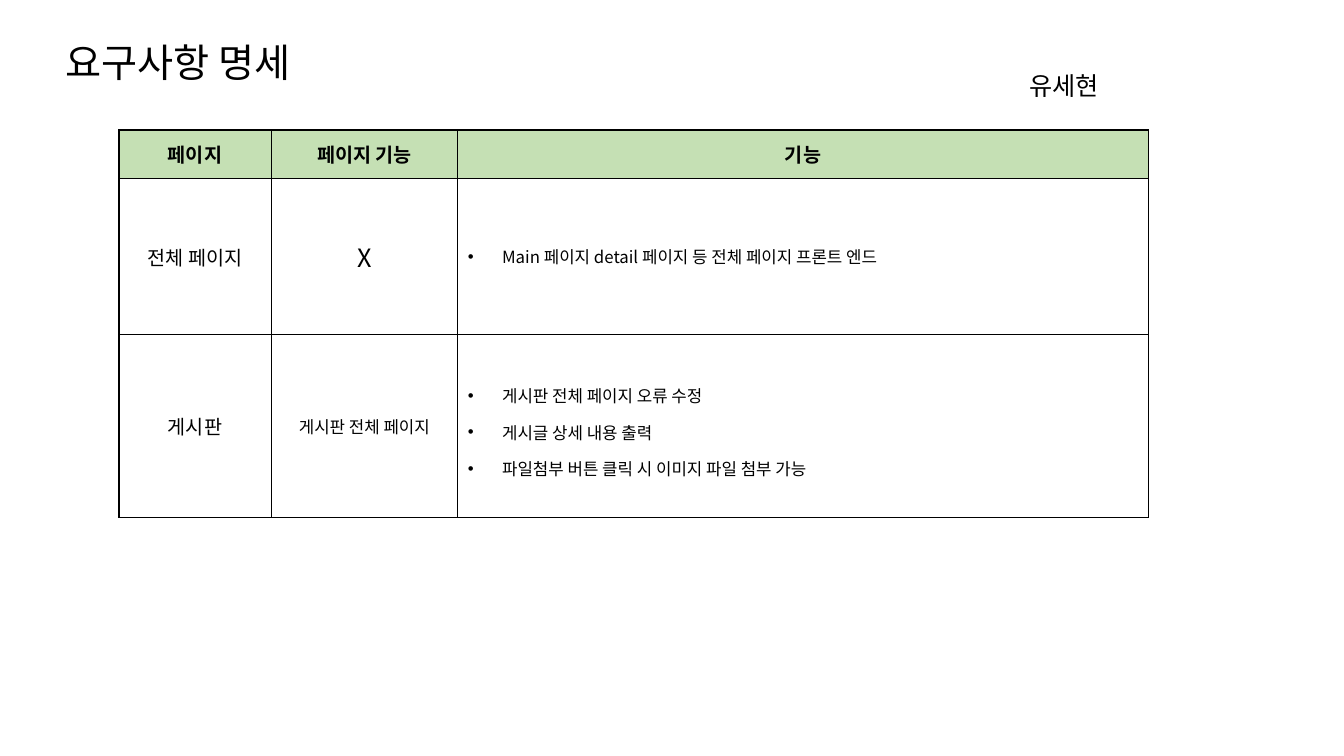
from dataclasses import dataclass
from lxml.etree import SubElement
from pptx import Presentation
from pptx.dml.color import RGBColor
from pptx.enum.text import MSO_ANCHOR as Anchor, PP_ALIGN as Align
from pptx.oxml import parse_xml
from pptx.oxml.ns import nsdecls, qn
from pptx.util import Inches, Pt


@dataclass(frozen=True)
class Theme:
    font: str = "Noto Sans CJK KR"
    ink: str = "000000"
    header: str = "C5E0B4"
    body: str = "FFFFFF"
    title: int = 28
    large: int = 18
    label: int = 14
    detail: int = 12
    border: int = 1
    indent: float = 0.34


T = Theme()
TITLE = ("요구사항 명세", (0.55, 0.12, 3.27, 1.05))
AUTHOR = ("유세현", (10.11, 0.65, 1.28, 0.4))
HEADERS = ["페이지", "페이지 기능", "기능"]
REQUIREMENTS = [
    (("전체 페이지", T.label), ("X", T.large),
     ["Main 페이지 detail 페이지 등 전체 페이지 프론트 엔드"]),
    (("게시판", T.label), ("게시판 전체 페이지", T.detail),
     ["게시판 전체 페이지 오류 수정", "게시글 상세 내용 출력",
      "파일첨부 버튼 클릭 시 이미지 파일 첨부 가능"]),
]
TABLE_ORIGIN = (1.18, 1.29)
COLUMNS = [1.51, 1.85, 6.85]
ROWS = [0.48, 1.55, 1.81]


def write(p, text, size, bold=False):
    p.text = text
    for r in p.runs:
        r.font.name, r.font.size, r.font.bold = T.font, Pt(size), bold
        r.font.color.rgb = RGBColor.from_string(T.ink)
        SubElement(r.font._element, qn("a:ea"), typeface=T.font)


def add_text(slide, text, box, size, anchor=Anchor.TOP, spacing=None):
    tf = slide.shapes.add_textbox(*map(Inches, box)).text_frame
    tf.word_wrap = True
    tf.vertical_anchor = anchor
    p = tf.paragraphs[0]
    p.line_spacing = spacing
    write(p, text, size)


def style_cell(cell, color):
    cell.vertical_anchor = Anchor.MIDDLE
    cell.fill.solid()
    cell.fill.fore_color.rgb = RGBColor.from_string(color)
    tcPr = cell._tc.get_or_add_tcPr()
    for i, side in enumerate("LRTB"):
        tcPr.insert(i, parse_xml(
            f'<a:ln{side} {nsdecls("a")} w="{Pt(T.border)}"><a:solidFill>'
            f'<a:srgbClr val="{T.ink}"/></a:solidFill></a:ln{side}>'))


def write_label(cell, text, size, bold=False):
    p = cell.text_frame.paragraphs[0]
    p.alignment = Align.CENTER
    write(p, text, size, bold)


def write_bullets(cell, items):
    tf = cell.text_frame
    for i, item in enumerate(items):
        p = tf.add_paragraph() if i else tf.paragraphs[0]
        p.line_spacing = 1.5 if len(items) > 1 else None
        pPr = p._p.get_or_add_pPr()
        pPr.set("marL", str(Inches(T.indent)))
        pPr.set("indent", str(-Inches(T.indent)))
        SubElement(pPr, qn("a:buFont"), typeface="Arial")
        SubElement(pPr, qn("a:buChar"), char="•")
        write(p, item, T.detail)


def add_requirements(slide):
    size = (sum(COLUMNS), sum(ROWS))
    table = slide.shapes.add_table(
        len(ROWS), len(COLUMNS), *map(Inches, TABLE_ORIGIN + size)).table
    for column, width in zip(table.columns, COLUMNS):
        column.width = Inches(width)
    for i, height in enumerate(ROWS):
        table.rows[i].height = Inches(height)
        for cell in table.rows[i].cells:
            style_cell(cell, T.body if i else T.header)
    for j, header in enumerate(HEADERS):
        write_label(table.cell(0, j), header, T.label, True)
    for i, (page, feature, details) in enumerate(REQUIREMENTS, 1):
        write_label(table.cell(i, 0), *page)
        write_label(table.cell(i, 1), *feature)
        write_bullets(table.cell(i, 2), details)


def main():
    prs = Presentation()
    prs.slide_width, prs.slide_height = Inches(13.33), Inches(7.5)
    slide = prs.slides.add_slide(prs.slide_layouts[6])
    add_text(slide, *TITLE, T.title, Anchor.MIDDLE, 0.9)
    add_text(slide, *AUTHOR, T.large)
    add_requirements(slide)
    prs.save("out.pptx")


if __name__ == "__main__":
    main()
